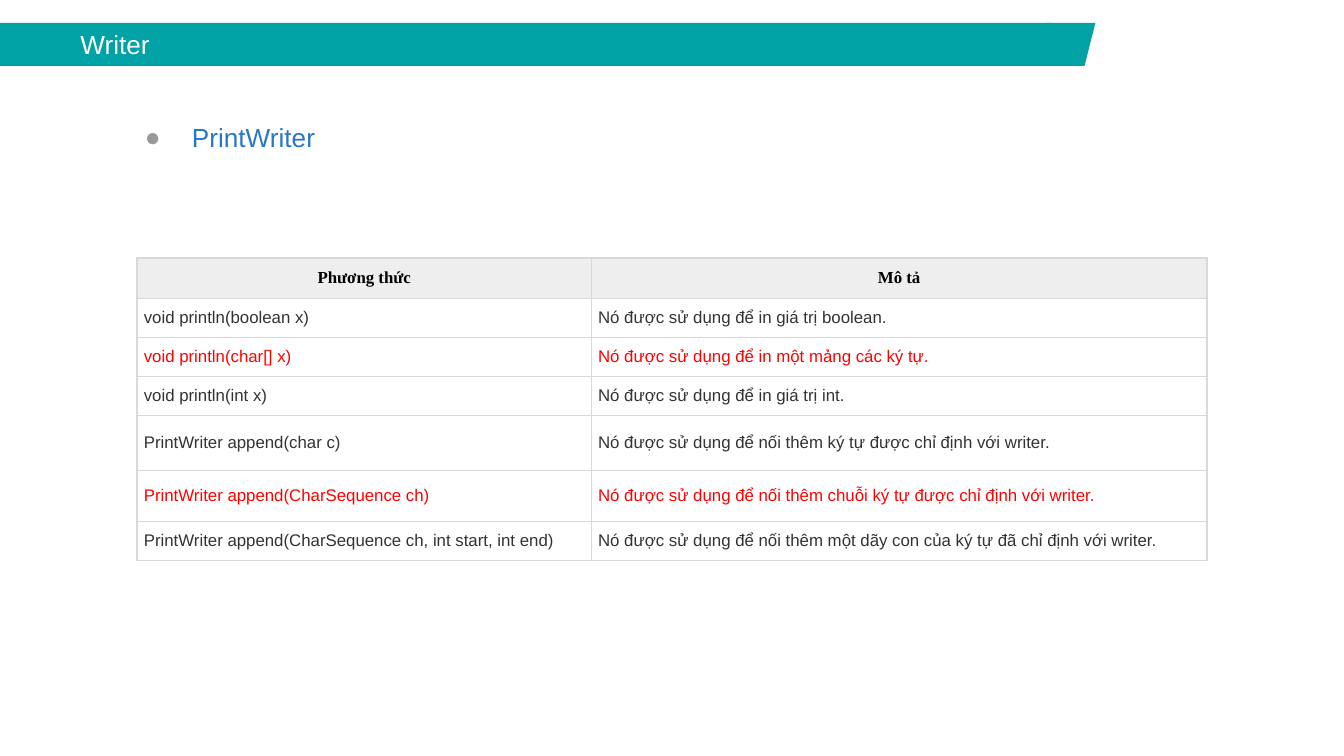
import pptx
import pptx.util
import pptx.dml.color
import pptx.enum.shapes
import pptx.enum.text
import pptx.oxml
import pptx.oxml.ns

Inches, Pt = pptx.util.Inches, pptx.util.Pt
SHAPES = pptx.enum.shapes.MSO_SHAPE
MIDDLE = pptx.enum.text.MSO_ANCHOR.MIDDLE
ALIGN = pptx.enum.text.PP_ALIGN

COLOURS = {"teal": "01A2A6", "blue": "2876C9", "bullet": "999999", "border": "D9D9D9",
           "header": "EEEEEE", "white": "FFFFFF", "black": "000000",
           "dark": "333333", "red": "FF0000"}

TITLE = "Writer"
TOPIC = "PrintWriter"
HEADER = ("Phương thức", "Mô tả")
METHODS = [  # method, description, text colour, row height
    ("void println(boolean x)", "Nó được sử dụng để in giá trị boolean.", "dark", 0.29),
    ("void println(char[] x)", "Nó được sử dụng để in một mảng các ký tự.", "red", 0.29),
    ("void println(int x)", "Nó được sử dụng để in giá trị int.", "dark", 0.29),
    ("PrintWriter append(char c)",
     "Nó được sử dụng để nối thêm ký tự được chỉ định với writer.", "dark", 0.41),
    ("PrintWriter append(CharSequence ch)",
     "Nó được sử dụng để nối thêm chuỗi ký tự được chỉ định với writer.", "red", 0.38),
    ("PrintWriter append(CharSequence ch, int start, int end)",
     "Nó được sử dụng để nối thêm một dãy con của ký tự đã chỉ định với writer.", "dark", 0.29),
]
HEADER_HEIGHT = 0.3
COLUMN_WIDTHS = (3.38, 4.58)
TABLE_LEFT, TABLE_TOP = 1.02, 1.92
SLIDE_WIDTH = Inches(10)
SLIDE_HEIGHT = SLIDE_WIDTH * 9 // 16


def rgb(name):
    """Return a named colour as an RGBColor."""
    return pptx.dml.color.RGBColor.from_string(COLOURS[name])


def set_attributes(target, values):
    """Set each attribute of a dict on the target."""
    for name, value in values.items():
        setattr(target, name, value)


def set_margins(target, inches):
    """Give a text frame or cell equal margins."""
    sides = ("left", "top", "right", "bottom")
    set_attributes(target, {f"margin_{side}": Inches(inches) for side in sides})


def set_indent(paragraph, left, first):
    """Set the left margin and first-line indent, and return the properties."""
    properties = paragraph._p.get_or_add_pPr()
    properties.set("marL", str(Inches(left)))
    properties.set("indent", str(Inches(first)))
    return properties


def write(paragraph, text, size, colour, font="Arial", bold=False):
    """Add one formatted run to a paragraph."""
    run = paragraph.add_run()
    run.text = text
    set_attributes(run.font, {"size": Pt(size), "name": font, "bold": bold})
    run.font.color.rgb = rgb(colour)


def add_band(slide, kind, left, width):
    """Add one teal piece of the title band."""
    shape = slide.shapes.add_shape(kind, Inches(left), Inches(0.17), Inches(width), Inches(0.32))
    shape.shadow.inherit = False
    shape.fill.solid()
    shape.fill.fore_color.rgb = rgb("teal")
    shape.line.fill.background()
    return shape


def add_title(slide):
    """Add the title band with its slanted end."""
    frame = add_band(slide, SHAPES.RECTANGLE, 0, 7.82).text_frame
    frame.vertical_anchor = MIDDLE
    set_margins(frame, 0.1)
    paragraph = frame.paragraphs[0]
    paragraph.alignment = ALIGN.LEFT
    set_indent(paragraph, 0, 0.5)
    write(paragraph, TITLE, 14, "white")
    add_band(slide, SHAPES.PARALLELOGRAM, 7.7, 0.45).adjustments[0] = 0.25


def add_topic(slide):
    """Add the bulleted topic line."""
    box = slide.shapes.add_textbox(Inches(0.83), Inches(0.57), Inches(7.12), Inches(0.61))
    frame = box.text_frame
    frame.word_wrap = True
    set_margins(frame, 0.1)
    paragraph = frame.paragraphs[0]
    set_attributes(paragraph, {"line_spacing": 2.0, "space_before": Pt(10)})
    properties = set_indent(paragraph, 0.5, -0.35)
    namespace = pptx.oxml.ns.nsdecls("a")
    for xml in (f'<a:buClr {namespace}><a:srgbClr val="{COLOURS["bullet"]}"/></a:buClr>',
                f'<a:buFont {namespace} typeface="Arial"/>',
                f'<a:buChar {namespace} char="●"/>'):
        properties.append(pptx.oxml.parse_xml(xml))
    write(paragraph, TOPIC, 14, "blue")


def format_cell(cell, fill):
    """Set a cell's margins, borders and fill."""
    cell.vertical_anchor = MIDDLE
    set_margins(cell, 0.05)
    properties = cell._tc.get_or_add_tcPr()
    for side in ("lnL", "lnR", "lnT", "lnB"):
        properties.append(pptx.oxml.parse_xml(
            f'<a:{side} {pptx.oxml.ns.nsdecls("a")} w="{Pt(0.74)}"><a:solidFill>'
            f'<a:srgbClr val="{COLOURS["border"]}"/></a:solidFill></a:{side}>'))
    cell.fill.solid()
    cell.fill.fore_color.rgb = rgb(fill)


def add_methods(slide):
    """Add the table of methods."""
    heights = [HEADER_HEIGHT] + [method[3] for method in METHODS]
    table = slide.shapes.add_table(
        len(heights), len(COLUMN_WIDTHS), Inches(TABLE_LEFT), Inches(TABLE_TOP),
        Inches(sum(COLUMN_WIDTHS)), Inches(sum(heights))).table
    table.horz_banding = False
    for column, width in zip(table.columns, COLUMN_WIDTHS):
        column.width = Inches(width)
    rows = [(HEADER, "black")] + [(method[:2], method[2]) for method in METHODS]
    for index, (texts, colour) in enumerate(rows):
        table.rows[index].height = Inches(heights[index])
        is_header = index == 0
        for cell, text in zip(table.rows[index].cells, texts):
            format_cell(cell, "header" if is_header else "white")
            paragraph = cell.text_frame.paragraphs[0]
            paragraph.alignment = ALIGN.CENTER if is_header else ALIGN.LEFT
            write(paragraph, text, 9, colour,
                  "Times New Roman" if is_header else "Arial", is_header)


presentation = pptx.Presentation()
set_attributes(presentation, {"slide_width": SLIDE_WIDTH, "slide_height": SLIDE_HEIGHT})
slide = presentation.slides.add_slide(presentation.slide_layouts[6])
add_title(slide)
add_topic(slide)
add_methods(slide)
presentation.save("out.pptx")
